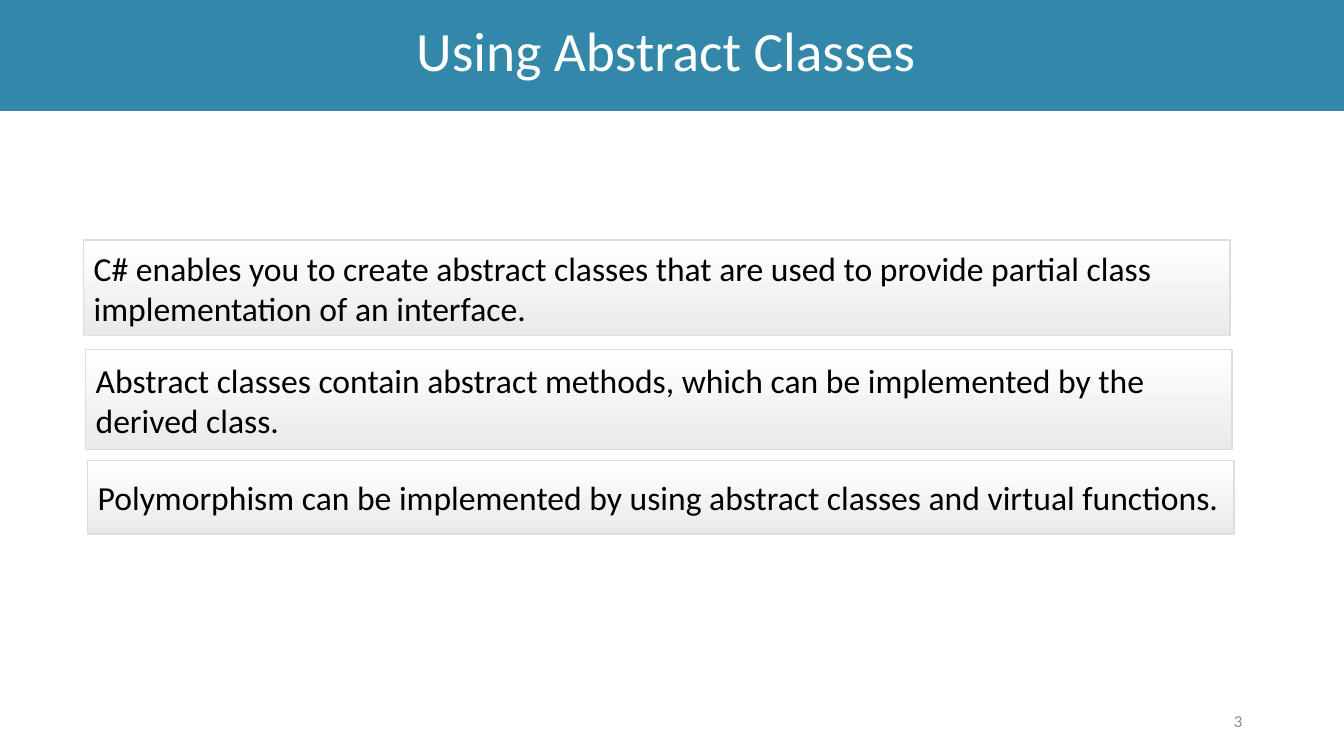
from dataclasses import dataclass

from pptx import Presentation
from pptx.dml.color import RGBColor
from pptx.enum.shapes import MSO_SHAPE
from pptx.enum.text import MSO_ANCHOR, PP_ALIGN
from pptx.shapes.autoshape import Shape
from pptx.slide import Slide
from pptx.util import Inches, Pt

SLIDE_WIDTH = Inches(13.33)
SLIDE_HEIGHT = Inches(7.5)
FONT = "Calibri"


@dataclass(frozen=True)
class Area:
    """A rectangle in percent of the slide's width and height."""
    left: float
    top: float
    width: float
    height: float

    def lengths(self) -> tuple[int, int, int, int]:
        return (
            int(SLIDE_WIDTH * self.left / 100),
            int(SLIDE_HEIGHT * self.top / 100),
            int(SLIDE_WIDTH * self.width / 100),
            int(SLIDE_HEIGHT * self.height / 100),
        )


@dataclass(frozen=True)
class Panel:
    text: str
    top: float
    height: float


PANELS = [
    Panel("C# enables you to create abstract classes that are used to provide "
          "partial class implementation of an interface.", 31.73, 12.67),
    Panel("Abstract classes contain abstract methods, which can be implemented "
          "by the derived class.", 46.27, 13.2),
    Panel("Polymorphism can be implemented by using abstract classes and "
          "virtual functions.", 60.93, 9.73),
]
PANEL_LEFT = 6.23
PANEL_SHIFT = 0.15
PANEL_WIDTH = 85.3


def color(value: str) -> RGBColor:
    return RGBColor.from_string(value)


def write(box: Shape, text: str, size: float, ink: str, align: PP_ALIGN) -> None:
    frame = box.text_frame
    frame.word_wrap = True
    frame.vertical_anchor = MSO_ANCHOR.MIDDLE
    para = frame.paragraphs[0]
    para.text = text
    para.alignment = align
    para.font.name = FONT
    para.font.size = Pt(size)
    para.font.color.rgb = color(ink)


def add_rectangle(page: Slide, area: Area) -> Shape:
    box = page.shapes.add_shape(MSO_SHAPE.RECTANGLE, *area.lengths())
    box.shadow.inherit = False
    return box


def add_title(page: Slide, text: str) -> None:
    bar = add_rectangle(page, Area(0, 0, 100, 14.67))
    bar.fill.solid()
    bar.fill.fore_color.rgb = color("3388A9")
    bar.line.fill.background()
    write(bar, text, 39.6, "FFFFFF", PP_ALIGN.CENTER)
    bar.text_frame.margin_right = Inches(0.22)
    bar.text_frame.margin_bottom = Inches(0.09)
    bar.text_frame.paragraphs[0].line_spacing = 0.9


def add_panel(page: Slide, panel: Panel, left: float) -> None:
    box = add_rectangle(page, Area(left, panel.top, PANEL_WIDTH, panel.height))
    box.fill.gradient()
    box.fill.gradient_angle = 270
    for stop, shade in zip(box.fill.gradient_stops, ("FFFFFF", "EAEAEA")):
        stop.color.rgb = color(shade)
    box.line.color.rgb = color("DDDDDD")
    box.line.width = Pt(1)
    write(box, panel.text, 24, "000000", PP_ALIGN.LEFT)


def add_page_number(page: Slide, number: str) -> None:
    box = page.shapes.add_textbox(*Area(70.67, 92.67, 22.5, 5.33).lengths())
    write(box, number, 12, "8C8C8C", PP_ALIGN.RIGHT)


def main() -> None:
    deck = Presentation()
    deck.slide_width = SLIDE_WIDTH
    deck.slide_height = SLIDE_HEIGHT
    page = deck.slides.add_slide(deck.slide_layouts[6])

    # Header bar and page number
    add_title(page, "Using Abstract Classes")
    add_page_number(page, "3")

    # Statements, each stepped slightly to the right
    for index, panel in enumerate(PANELS):
        add_panel(page, panel, PANEL_LEFT + index * PANEL_SHIFT)

    deck.save("out.pptx")


if __name__ == "__main__":
    main()
